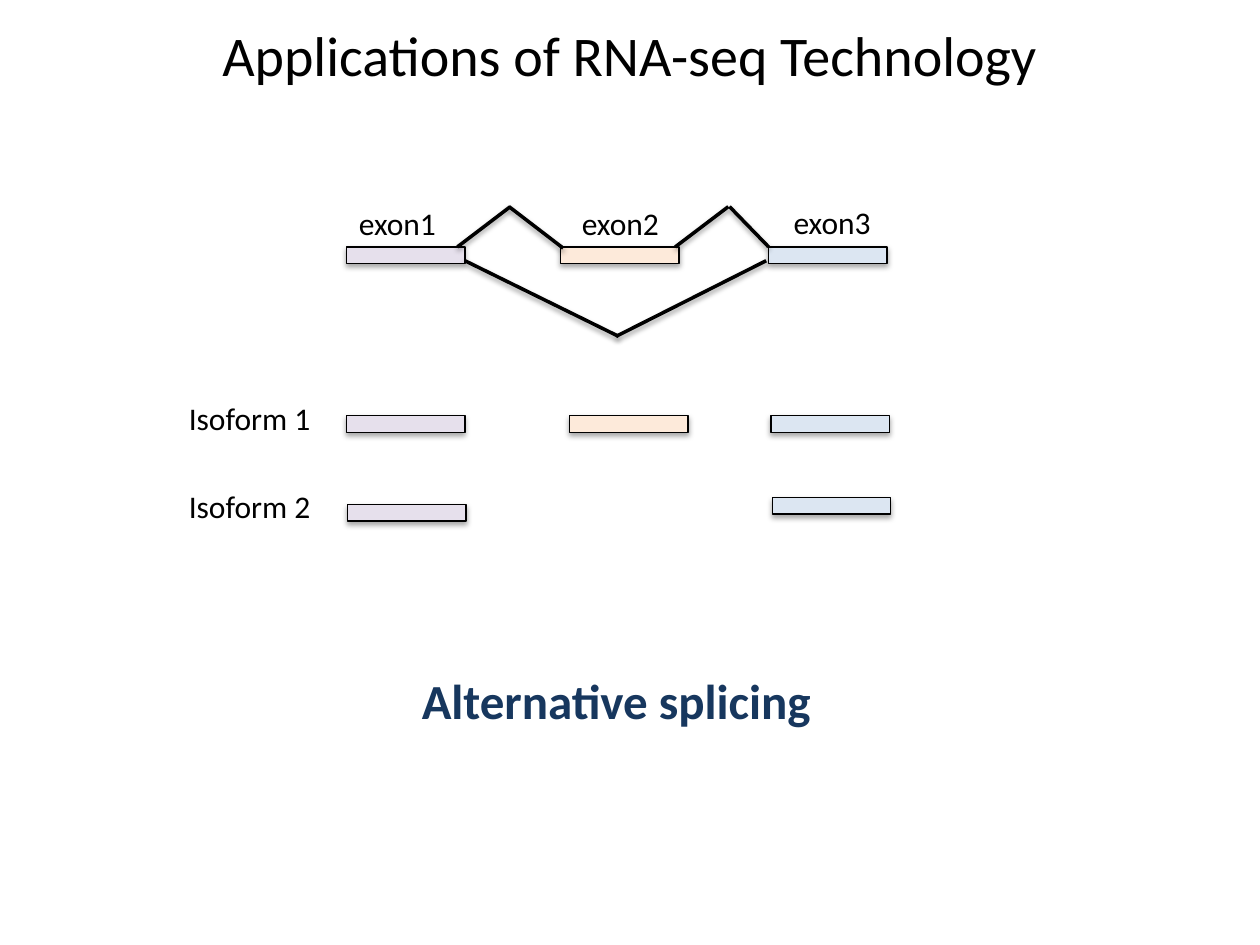
from lxml.etree import SubElement
from pptx import Presentation
from pptx.dml.color import RGBColor
from pptx.enum.shapes import MSO_CONNECTOR, MSO_SHAPE
from pptx.enum.text import MSO_ANCHOR, PP_ALIGN
from pptx.oxml.ns import qn
from pptx.util import Pt

BLACK = RGBColor(0x00, 0x00, 0x00)
NAVY = RGBColor(0x17, 0x37, 0x5E)
LILAC = RGBColor(0xE6, 0xE0, 0xEC)
PEACH = RGBColor(0xFD, 0xEA, 0xDA)
SKY = RGBColor(0xDC, 0xE6, 0xF2)

EXON_WIDTH, EXON_HEIGHT = 67.7, 9.4


def add_shadow(shape, distance, opacity):
    """Cast a soft black shadow straight down; call it after the line is set."""
    effects = SubElement(shape._element.spPr, qn("a:effectLst"))
    shadow = SubElement(effects, qn("a:outerShdw"), blurRad=str(Pt(3.1)),
                        dist=str(Pt(distance)), dir="5400000", rotWithShape="0")
    color = SubElement(shadow, qn("a:srgbClr"), val=str(BLACK))
    SubElement(color, qn("a:alpha"), val=str(opacity * 1000))


def add_text(slide, text, left, top, width, height, size=18, color=BLACK):
    box = slide.shapes.add_textbox(Pt(left), Pt(top), Pt(width), Pt(height))
    box.text_frame.word_wrap = False
    box.text_frame.text = text
    font = box.text_frame.paragraphs[0].runs[0].font
    font.name = "Calibri"
    font.size = Pt(size)
    font.color.rgb = color
    return box.text_frame


presentation = Presentation()
presentation.slide_width = Pt(720)
presentation.slide_height = Pt(540)
slide = presentation.slides.add_slide(presentation.slide_layouts[6])

title = add_text(slide, "Applications of RNA-seq Technology", 0, 1.5, 720, 59, size=32)
title.word_wrap = True
title.vertical_anchor = MSO_ANCHOR.MIDDLE
title.paragraphs[0].alignment = PP_ALIGN.CENTER

# Exons of the gene, then of isoform 1, then of isoform 2
exons = [
    (198, 141.1, LILAC), (320.4, 141.1, PEACH), (439.2, 141.1, SKY),
    (198, 237.6, LILAC), (325.6, 237.6, PEACH), (440.6, 237.6, SKY),
    (198.7, 288.4, LILAC), (441.3, 284.4, SKY),
]
for left, top, color in exons:
    exon = slide.shapes.add_shape(MSO_SHAPE.RECTANGLE, Pt(left), Pt(top),
                                  Pt(EXON_WIDTH), Pt(EXON_HEIGHT))
    exon.fill.solid()
    exon.fill.fore_color.rgb = color
    exon.line.color.rgb = BLACK
    exon.line.width = Pt(0.75)
    add_shadow(exon, distance=1.8, opacity=35)

# Splice junctions: two lines per junction
junctions = [
    (261.4, 141.1, 291.6, 118.1), (290.9, 118.1, 321.8, 141.8),
    (385.9, 141.1, 416.2, 118.1), (416.9, 118.1, 439.2, 141.1),
    (353.5, 192.2, 265.7, 149), (352.1, 192.2, 437.8, 149),
]
for ends in junctions:
    junction = slide.shapes.add_connector(MSO_CONNECTOR.STRAIGHT, *map(Pt, ends))
    junction.line.color.rgb = BLACK
    junction.line.width = Pt(2)
    add_shadow(junction, distance=1.6, opacity=38)

for number, (left, top) in enumerate([(198, 113), (325.4, 113), (446.4, 112.3)], start=1):
    add_text(slide, f"exon{number}", left, top, 59.8, 29)

for number, top in enumerate([224.6, 275], start=1):
    add_text(slide, f"Isoform {number}", 100.8, top, 85, 29)

caption = add_text(slide, "Alternative splicing", 234, 379.4, 239.8, 41, size=28, color=NAVY)
caption.paragraphs[0].runs[0].font.bold = True

presentation.save("out.pptx")
